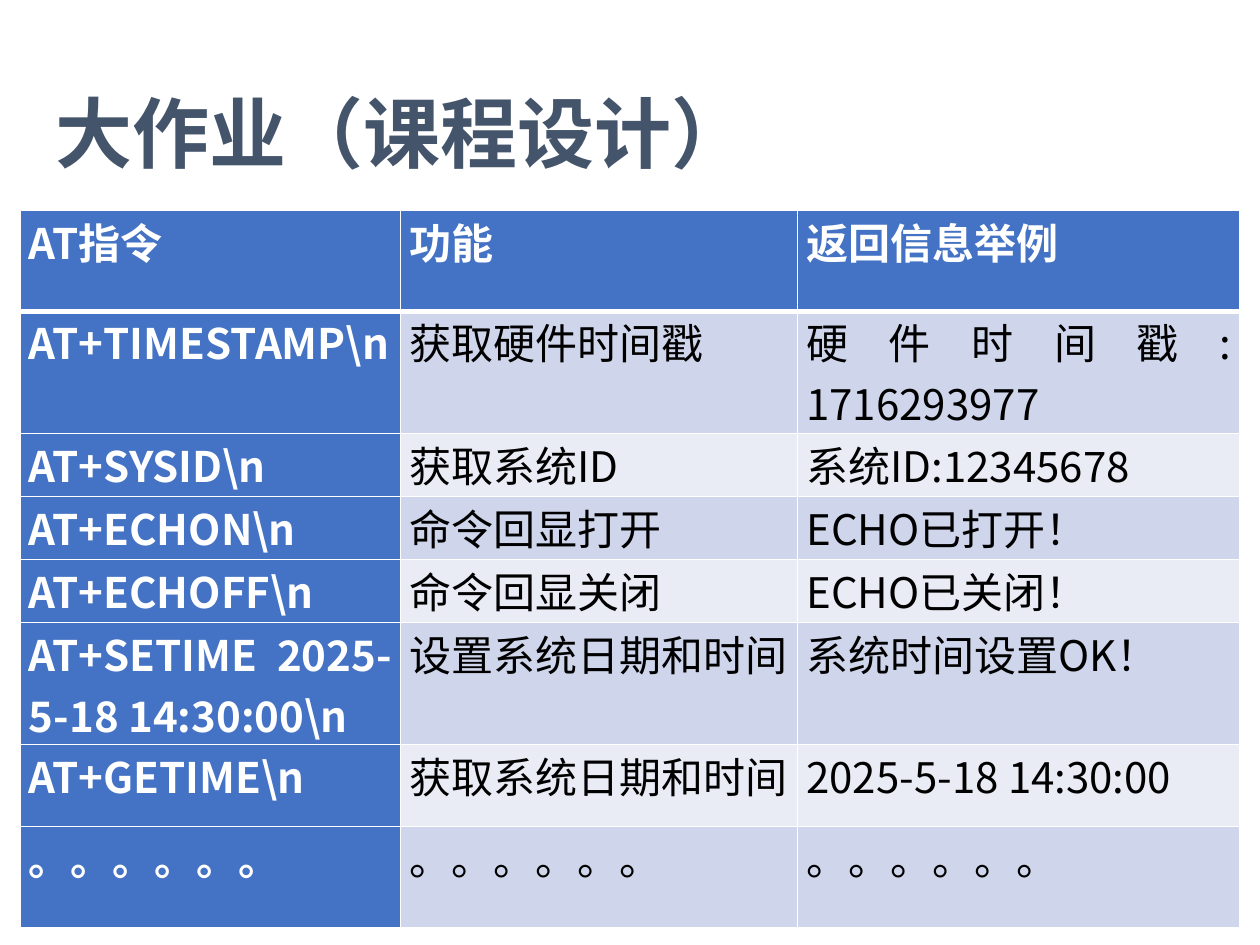
"""Build a slide with a table of AT commands for a course project."""
import lxml.etree
import pptx
import pptx.dml.color
import pptx.enum.text
import pptx.oxml.ns
import pptx.util

Inches = pptx.util.Inches
FONT = "Noto Sans CJK SC"
COLORS = {
    "title": "44546A",
    "head": "4472C4",
    "odd": "CFD5EA",
    "even": "E9EBF5",
    "light": "FFFFFF",
    "dark": "000000",
}
WIDTHS = [3.02, 3.15, 3.51]
HEIGHTS = [0.8, 0.97, 0.5, 0.5, 0.5, 0.97, 0.65, 0.8]
DOTS = "。。。。。。"
ROWS = [
    ("AT指令", "功能", "返回信息举例"),
    (r"AT+TIMESTAMP\n", "获取硬件时间戳", "硬件时间戳: 1716293977"),
    (r"AT+SYSID\n", "获取系统ID", "系统ID:12345678"),
    (r"AT+ECHON\n", "命令回显打开", "ECHO已打开！"),
    (r"AT+ECHOFF\n", "命令回显关闭", "ECHO已关闭！"),
    (r"AT+SETIME 2025-5-18 14:30:00\n", "设置系统日期和时间", "系统时间设置OK！"),
    (r"AT+GETIME\n", "获取系统日期和时间", "2025-5-18 14:30:00"),
    (DOTS, DOTS, DOTS),
]


def rgb(name):
    """Return the named color."""
    return pptx.dml.color.RGBColor.from_string(COLORS[name])


def child(node, tag, **attrs):
    """Append a drawing element to a node."""
    return lxml.etree.SubElement(node, pptx.oxml.ns.qn(tag), **attrs)


def style(frame, size, color, bold):
    """Format every run of a text frame."""
    for para in frame.paragraphs:
        for run in para.runs:
            font = run.font
            font.size = pptx.util.Pt(size)
            font.bold = bold
            font.color.rgb = rgb(color)
            font.name = FONT
            child(run._r.get_or_add_rPr(), "a:ea", typeface=FONT)


def add_title(slide, text):
    """Add the slide title."""
    box = slide.shapes.add_textbox(Inches(0.34), Inches(0.42), Inches(6.92), Inches(1.25))
    frame = box.text_frame
    frame.word_wrap = True
    frame.vertical_anchor = pptx.enum.text.MSO_ANCHOR.MIDDLE
    frame.text = text
    style(frame, 44, "title", True)


def set_edges(cell, top, bottom):
    """Draw the white borders of a cell."""
    props = cell._tc.get_or_add_tcPr()
    for side, width in zip("LRTB", (1, 1, top, bottom)):
        line = child(props, f"a:ln{side}", w=str(pptx.util.Pt(width)))
        child(child(line, "a:solidFill"), "a:srgbClr", val=COLORS["light"])


def fill_cell(cell, text, row, col):
    """Write and format one cell by its place in the table."""
    head = row == 0 or col == 0
    cell.margin_left = cell.margin_right = Inches(0.07)
    cell.margin_top = cell.margin_bottom = 0
    set_edges(cell, 3 if row == 1 else 1, 3 if row == 0 else 1)
    cell.fill.solid()
    cell.fill.fore_color.rgb = rgb("head" if head else "odd" if row % 2 else "even")
    cell.text_frame.text = text
    cell.text_frame.paragraphs[0].alignment = pptx.enum.text.PP_ALIGN.JUSTIFY
    style(cell.text_frame, 24, "light" if head else "dark", head)


def add_grid(slide):
    """Add the table of commands."""
    table = slide.shapes.add_table(
        len(ROWS), len(WIDTHS), Inches(0.16), Inches(1.67),
        Inches(sum(WIDTHS)), Inches(sum(HEIGHTS)),
    ).table
    for col, width in zip(table.columns, WIDTHS):
        col.width = Inches(width)
    for row, height in zip(table.rows, HEIGHTS):
        row.height = Inches(height)
    for r, texts in enumerate(ROWS):
        for c, text in enumerate(texts):
            fill_cell(table.cell(r, c), text, r, c)


def main():
    """Build and save the slide."""
    deck = pptx.Presentation()
    deck.slide_width, deck.slide_height = Inches(10), Inches(7.5)
    slide = deck.slides.add_slide(deck.slide_layouts[6])
    add_title(slide, "大作业（课程设计）")
    add_grid(slide)
    deck.save("out.pptx")


if __name__ == "__main__":
    main()
